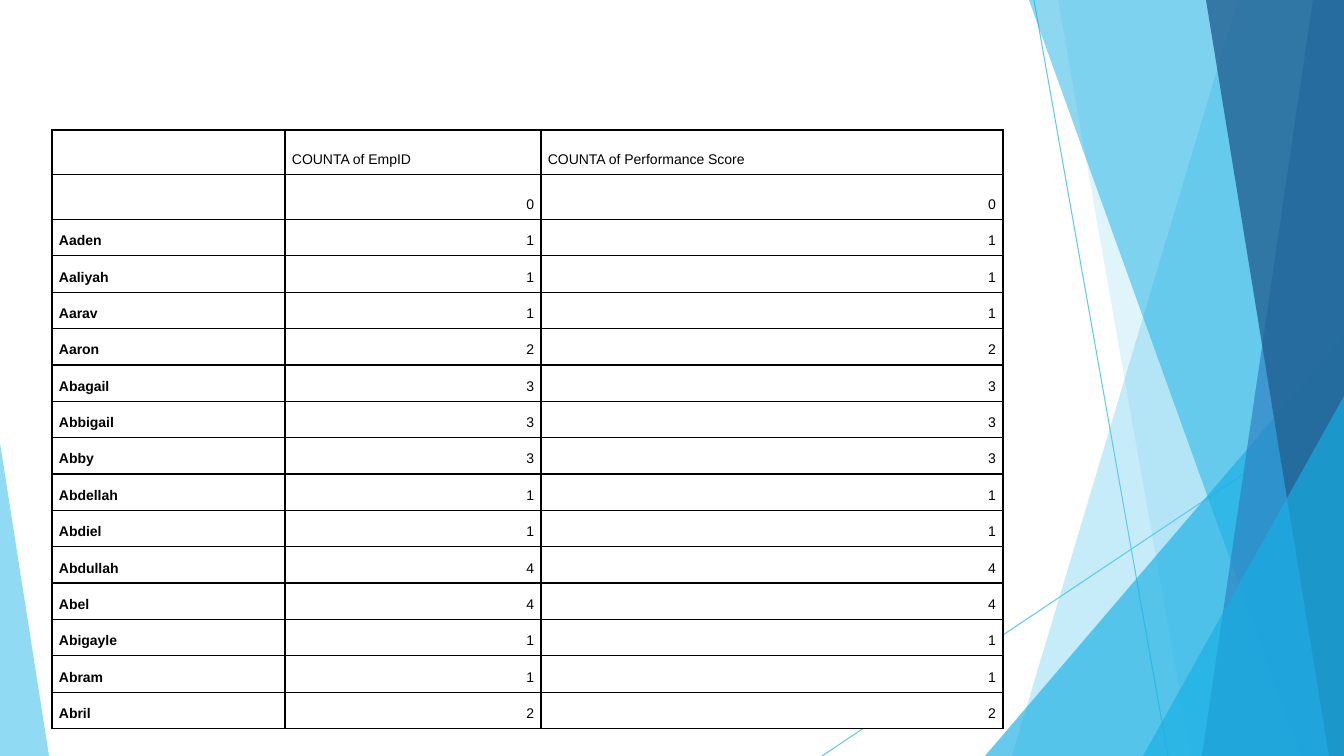
from lxml import etree
from pptx import Presentation
from pptx.dml.color import RGBColor
from pptx.enum.shapes import MSO_CONNECTOR
from pptx.enum.text import MSO_ANCHOR, PP_ALIGN
from pptx.oxml import parse_xml
from pptx.oxml.ns import nsdecls, qn
from pptx.util import Emu, Pt

STRAIGHT = MSO_CONNECTOR.STRAIGHT
BOTTOM = MSO_ANCHOR.BOTTOM
LEFT, RIGHT = PP_ALIGN.LEFT, PP_ALIGN.RIGHT

WIDTH, HEIGHT = 1344, 756
SCALE = 12192000 / WIDTH
SKY, AZURE, BLUE, NAVY = "5FCAEE", "17AFE3", "2D83C3", "226192"
BLACK, WHITE = "000000", "FFFFFF"


def color(value):
    return RGBColor.from_string(value)


def write(cell, text, bold=False, align=LEFT, size=10, font="Arial", ink=BLACK):
    para = cell.text_frame.paragraphs[0]
    para.alignment = align
    para.line_spacing = 1.15
    span = para.add_run()
    span.text = text
    span.font.name = font
    span.font.size = Pt(size)
    span.font.bold = bold
    span.font.color.rgb = color(ink)


deck = Presentation()
deck.slide_width, deck.slide_height = Emu(round(WIDTH * SCALE)), Emu(round(HEIGHT * SCALE))
page = deck.slides.add_slide(deck.slide_layouts[6])

# Thin crossing lines
for ends in [(1034, 0, 1168, HEIGHT), (WIDTH, 407, 822, HEIGHT)]:
    line = page.shapes.add_connector(STRAIGHT, *[Emu(round(end * SCALE)) for end in ends])
    line.line.color.rgb = color(SKY)
    line.line.width = Pt(0.75)
    etree.SubElement(line._element.spPr, qn("a:effectLst"))

# Translucent facets: fill, opacity in percent, corners
top_right, bottom_right = (WIDTH, 0), (WIDTH, HEIGHT)
facets = [
    (SKY, 35, [top_right, (1238, 0), (1012, HEIGHT), bottom_right]),
    (SKY, 19, [top_right, (1058, 0), (1191, HEIGHT), bottom_right]),
    (AZURE, 65, [(WIDTH, 336), (985, HEIGHT), bottom_right]),
    (AZURE, 49, [top_right, (1029, 0), (1301, HEIGHT), bottom_right]),
    (BLUE, 69, [top_right, (1313, 0), (1202, HEIGHT), bottom_right]),
    (NAVY, 79, [top_right, (1206, 0), (1329, HEIGHT), bottom_right]),
    (AZURE, 65, [(WIDTH, 396), (1143, HEIGHT), bottom_right]),
    (SKY, 69, [(0, 443), (0, HEIGHT), (49, HEIGHT)]),
]
for fill, opacity, corners in facets:
    outline = page.shapes.build_freeform(*corners[0], scale=SCALE)
    outline.add_line_segments(corners[1:], close=True)
    facet = outline.convert_to_shape()
    facet.shadow.inherit = False
    facet.line.fill.background()
    facet.fill.solid()
    facet.fill.fore_color.rgb = color(fill)
    tint = facet._element.spPr.find(qn("a:solidFill"))[0]
    etree.SubElement(tint, qn("a:alpha"), val=str(opacity * 1000))

# Table of counts: both count columns hold the same value
names = {
    "Aaden": 1, "Aaliyah": 1, "Aarav": 1, "Aaron": 2, "Abagail": 3,
    "Abbigail": 3, "Abby": 3, "Abdellah": 1, "Abdiel": 1, "Abdullah": 4,
    "Abel": 4, "Abigayle": 1, "Abram": 1, "Abril": 2,
}
rows = [("", "COUNTA of EmpID", "COUNTA of Performance Score"), ("", "0", "0")]
rows += [(name, str(count), str(count)) for name, count in names.items()]
column_widths = [233, 256, 462]
table_top, names_top, table_bottom = 130, 218, 727
tall_row = (names_top - table_top) / 2
name_row = (table_bottom - names_top) / len(names)

frame = page.shapes.add_table(
    len(rows), len(column_widths),
    Emu(round(52 * SCALE)), Emu(round(table_top * SCALE)),
    Emu(round(sum(column_widths) * SCALE)), Emu(round((table_bottom - table_top) * SCALE)))
table = frame.table
table.first_row = table.horz_banding = False
for column, width in zip(table.columns, column_widths):
    column.width = Emu(round(width * SCALE))

inset = Emu(round(7 * SCALE))
for row_index, texts in enumerate(rows):
    height = tall_row if row_index < 2 else name_row
    table.rows[row_index].height = Emu(round(height * SCALE))
    for column_index, text in enumerate(texts):
        cell = table.cell(row_index, column_index)
        cell.vertical_anchor = BOTTOM
        cell.margin_left = cell.margin_right = inset
        cell.margin_top = cell.margin_bottom = inset
        if text:
            is_count = row_index > 0 and column_index > 0
            write(cell, text, bold=column_index == 0, align=RIGHT if is_count else LEFT)
        # Borders come before the fill in the cell properties
        properties = cell._tc.get_or_add_tcPr()
        for side in ("lnL", "lnR", "lnT", "lnB"):
            properties.append(parse_xml(
                f'<a:{side} {nsdecls("a")} w="{Pt(1)}"><a:solidFill>'
                f'<a:srgbClr val="{BLACK}"/></a:solidFill></a:{side}>'))
        cell.fill.solid()
        cell.fill.fore_color.rgb = color(WHITE)

deck.save("out.pptx")
